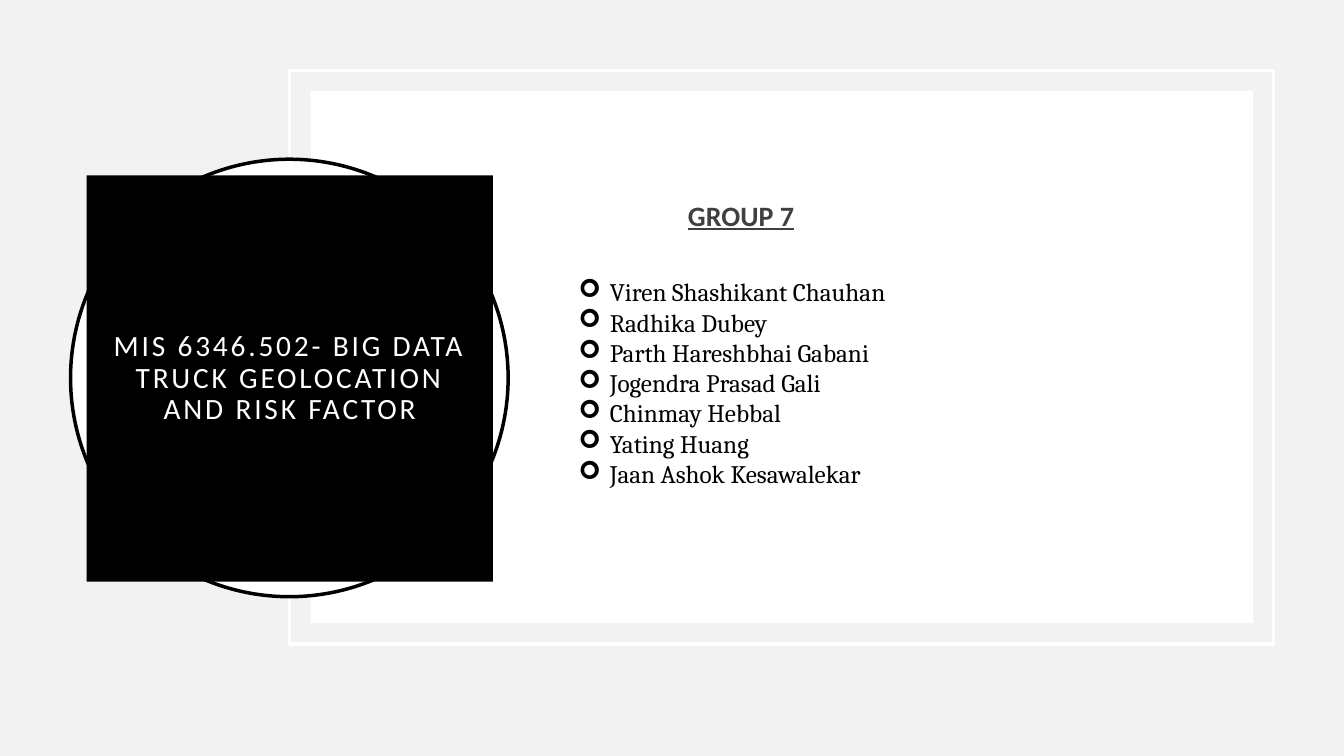
from lxml.etree import SubElement
from pptx import Presentation
from pptx.dml.color import RGBColor
from pptx.enum.shapes import MSO_SHAPE
from pptx.enum.text import MSO_ANCHOR, PP_ALIGN
from pptx.oxml.ns import qn
from pptx.util import Inches, Pt

COLORS = {"backdrop": "F2F2F2", "white": "FFFFFF", "black": "000000", "heading": "404040"}
MEMBERS = [
    "Viren Shashikant Chauhan",
    "Radhika Dubey",
    "Parth Hareshbhai Gabani",
    "Jogendra Prasad Gali",
    "Chinmay Hebbal",
    "Yating Huang",
    "Jaan Ashok Kesawalekar",
]


def color(name):
    return RGBColor.from_string(COLORS[name])


def style_runs(paragraph, ink, **font_values):
    for run in paragraph.runs:
        for key, value in font_values.items():
            setattr(run.font, key, value)
        run.font.color.rgb = color(ink)


prs = Presentation()
prs.slide_width, prs.slide_height = Inches(13.33), Inches(7.5)
slide = prs.slides.add_slide(prs.slide_layouts[6])
slide.background.fill.solid()
slide.background.fill.fore_color.rgb = color("backdrop")

# Frame, white panel, ring and title block, from back to front
layers = [
    (MSO_SHAPE.RECTANGLE, (2.87, 0.7, 9.76, 5.69), None, "white"),
    (MSO_SHAPE.RECTANGLE, (3.08, 0.9, 9.35, 5.28), "white", None),
    (MSO_SHAPE.OVAL, (0.7, 1.58, 4.34, 4.34), "white", "black"),
    (MSO_SHAPE.RECTANGLE, (0.86, 1.74, 4.03, 4.03), "black", None),
]
for kind, place, fill, outline in layers:
    layer = slide.shapes.add_shape(kind, *map(Inches, place))
    layer.shadow.inherit = False
    if fill:
        layer.fill.solid()
        layer.fill.fore_color.rgb = color(fill)
    else:
        layer.fill.background()
    if outline:
        layer.line.color.rgb = color(outline)
        layer.line.width = Pt(2.5)
    else:
        layer.line.fill.background()

# Course title, in the topmost block
title = layer.text_frame
title_format = {"word_wrap": True, "vertical_anchor": MSO_ANCHOR.MIDDLE}
for side in ("left", "right", "top", "bottom"):
    title_format[f"margin_{side}"] = Inches(0.2)
for key, value in title_format.items():
    setattr(title, key, value)
course = title.paragraphs[0]
course.text = "MIS 6346.502- BIG DATA\vTRUCK GEOLOCATION AND RISK FACTOR"
course.alignment = PP_ALIGN.CENTER
course.line_spacing = 0.9
style_runs(course, "white", name="Calibri", size=Pt(21))
for run in course.runs:
    run.font._element.set("spc", "200")

# Group heading
group = slide.shapes.add_textbox(*map(Inches, (5.64, 1.4, 3.42, 4.01))).text_frame
group.word_wrap = True
group.vertical_anchor = MSO_ANCHOR.MIDDLE
heading = group.paragraphs[0]
heading.text = "GROUP 7"
heading.alignment = PP_ALIGN.CENTER
heading.space_after = Pt(32)
style_runs(heading, "heading", name="Calibri", size=Pt(20), bold=True, underline=True)

# Member list
for name in MEMBERS:
    member = group.add_paragraph()
    member.text = name
    member.alignment = PP_ALIGN.LEFT
    properties = member._p.get_or_add_pPr()
    properties.set("marL", str(Inches(0.31)))
    properties.set("indent", str(-Inches(0.31)))
    SubElement(properties, qn("a:buFont"), typeface="Wingdings")
    SubElement(properties, qn("a:buChar"), char="➢")
    style_runs(member, "black", name="Cambria", size=Pt(18))

prs.save("out.pptx")
